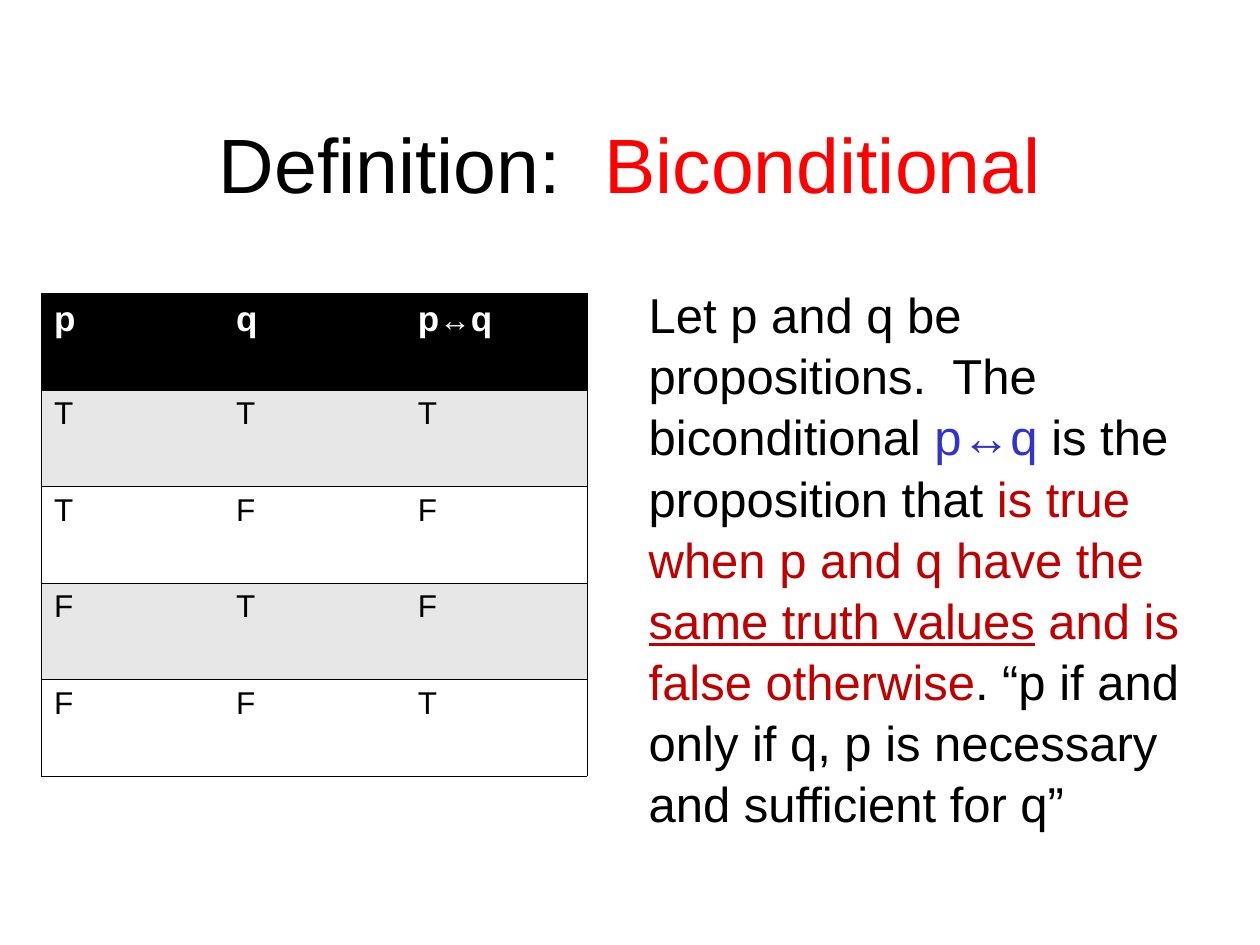
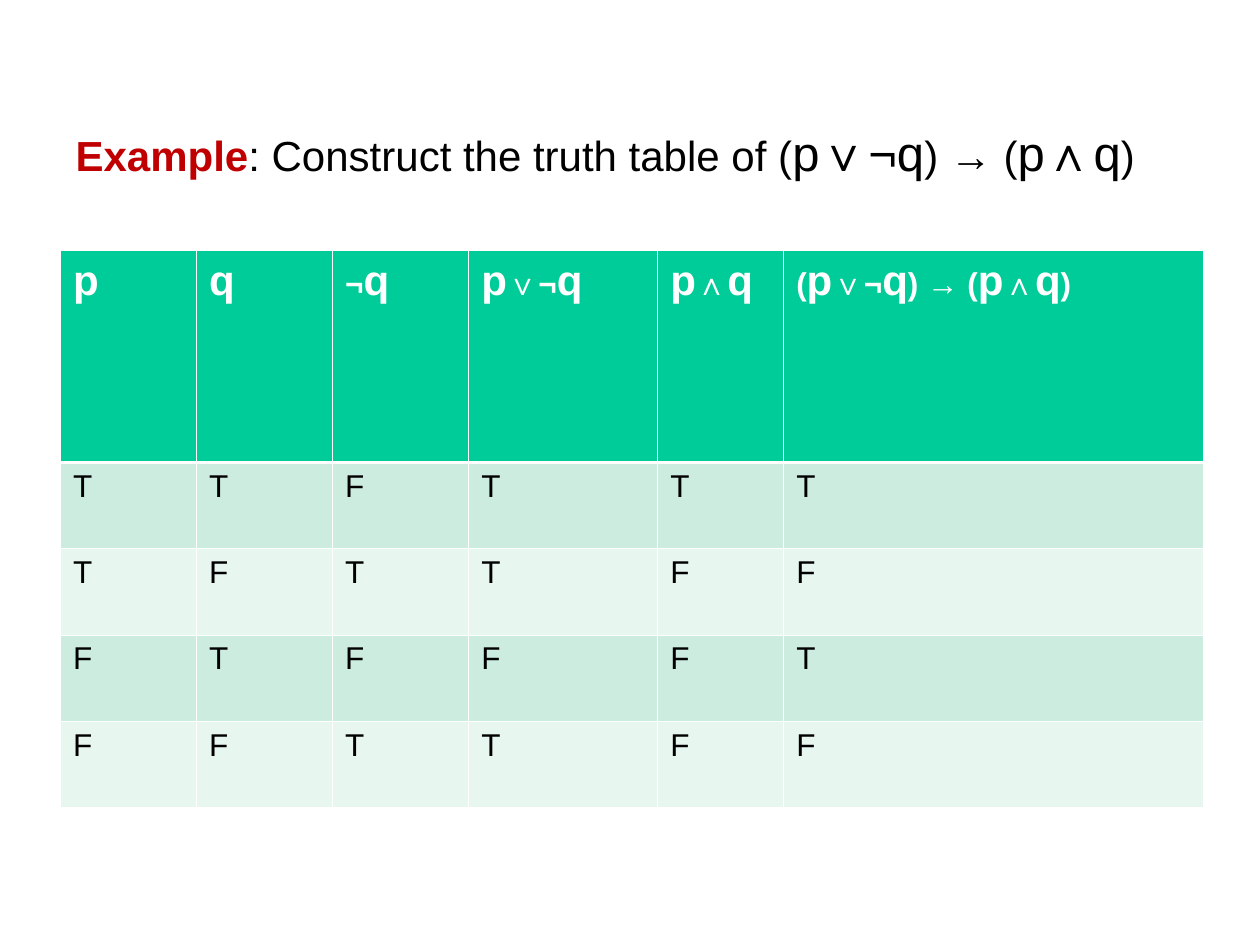
from itertools import groupby

from lxml import etree
from pptx import Presentation
from pptx.dml.color import RGBColor
from pptx.enum import text as t
from pptx.oxml import ns
from pptx.util import Inches, Pt

FONT = "Arial"
BLACK, WHITE = "000000", "FFFFFF"
RED, DARK, BLUE = "FF0000", "C00000", "3333CC"
THIN, THICK = 0.45, 1.47


def rgb(code):
    return RGBColor.from_string(code)


def style(font, size=None, color=None, bold=None, line=None):
    """Set only the given traits of a font."""
    if size:
        font.size = Pt(size)
    if color:
        font.color.rgb = rgb(color)
    if bold is not None:
        font.bold = bold
    if line:
        font.underline = True


def write(par, runs, size, color=BLACK, bold=False):
    """Fill a paragraph from (text, traits) pairs over a base style."""
    par.font.name = FONT
    style(par.font, size, color, bold)
    for words, traits in runs:
        run = par.add_run()
        run.text = words
        style(run.font, **traits)


def place(shape, box):
    shape.left, shape.top, shape.width, shape.height = map(Inches, box)


def title(slide, box, runs, size, align, anchor):
    shape = slide.shapes.title
    place(shape, box)
    frame = shape.text_frame
    frame.word_wrap = True
    frame.auto_size = t.MSO_AUTO_SIZE.NONE
    frame.vertical_anchor = anchor
    par = frame.paragraphs[0]
    par.alignment = align
    write(par, runs, size)


def body(slide, box, runs):
    frame = slide.shapes.add_textbox(*map(Inches, box)).text_frame
    frame.word_wrap = True
    frame.margin_top = Inches(0.07)
    par = frame.paragraphs[0]
    par.line_spacing = 1.04
    par._p.get_or_add_pPr().set("marL", str(Inches(0.38)))
    write(par, runs, 28)


def border(cell, side, color, width):
    """Draw one side (L, R, T or B) of a cell; no colour means no line."""
    props = cell._tc.get_or_add_tcPr()
    line = etree.SubElement(props, ns.qn("a:ln" + side), w=str(Pt(width)))
    if color:
        fill = etree.SubElement(line, ns.qn("a:solidFill"))
        etree.SubElement(fill, ns.qn("a:srgbClr"), val=color)
    else:
        etree.SubElement(line, ns.qn("a:noFill"))


def formula(words, small):
    """Split a formula into runs, with its symbols in the small size."""
    for letter, part in groupby(words, str.isalpha):
        yield "".join(part), {} if letter else {"size": small}


def truth(slide, box, cols, tops, rows, head, fills, size, edge):
    """Truth table; edge(row, col) gives (colour, width) for each side."""
    left, top, width, height = box
    shape = slide.shapes.add_table(len(rows) + 1, len(cols),
                                   *map(Inches, box))
    grid = shape.table
    for col, wide in zip(grid.columns, cols):
        col.width = Inches(wide)
    rest = (height - head) / len(rows)
    for i, row in enumerate([tops, *rows]):
        grid.rows[i].height = Inches(rest if i else head)
        for j, words in enumerate(row):
            cell = grid.cell(i, j)
            for side, (color, thick) in edge(i, j).items():
                border(cell, side, color, thick)
            cell.fill.solid()
            shade = fills[2 - i % 2] if i else fills[0]
            cell.fill.fore_color.rgb = rgb(shade)
            par = cell.text_frame.paragraphs[0]
            if i:
                write(par, [(words, {})], 18)
            else:
                write(par, formula(words, 18), size, WHITE, True)


def frame_edge(row, col):
    """Black rules between rows and round the table, none between columns."""
    rule, none = (BLACK, THIN), (None, THIN)
    return {"L": none if col else rule, "R": rule if col == 2 else none,
            "T": rule, "B": rule}


def grid_edge(row, col):
    """White rules everywhere, thicker under the header."""
    return {"L": (WHITE, THIN), "R": (WHITE, THIN),
            "T": (WHITE, THICK if row == 1 else THIN),
            "B": (WHITE, THICK if row == 0 else THIN)}


def define(slide):
    title(slide, (0.75, 0.67, 8.5, 1.25),
          [("Definition:  ", {}), ("Biconditional", {"color": RED})],
          44, t.PP_ALIGN.CENTER, t.MSO_ANCHOR.MIDDLE)
    body(slide, (4.67, 2.17, 4.92, 4.5), [
        ("Let p and q be propositions.  The biconditional ", {}),
        ("p↔q", {"color": BLUE}),
        (" is the proposition that ", {}),
        ("is true when p and q have the ", {"color": DARK}),
        ("same truth values", {"color": DARK, "line": True}),
        (" and is false otherwise", {"color": DARK}),
        (". “p if and only if q, p is necessary and sufficient for q”", {}),
    ])
    truth(slide, (0.33, 2.33, 4.33, 3.83), [4.33 / 3] * 3,
          ["p", "q", "p↔q"], ["TTT", "TFF", "FTF", "FFT"], 3.83 / 5,
          (BLACK, "E7E7E7", WHITE), 20, frame_edge)


def example(slide):
    big = {"size": 28}
    title(slide, (0.5, 0.92, 9.06, 0.57), [
        ("Example", {"color": DARK, "bold": True}),
        (": Construct the truth table of (", {}),
        ("p∨¬q", big), (") → (", {}), ("p∧q", big), (")", {}),
    ], 24, t.PP_ALIGN.LEFT, t.MSO_ANCHOR.TOP)
    truth(slide, (0.48, 1.99, 9.08, 4.42), [1.08, 1.08, 1.08, 1.5, 1, 3.33],
          ["p", "q", "¬q", "p∨¬q", "p∧q", "(p∨¬q) → (p∧q)"],
          ["TTFTTT", "TFTTFF", "FTFFFT", "FFTTFF"], 1.68,
          ("00CC99", "CBECDE", "E7F6EF"), 24, grid_edge)


def main():
    deck = Presentation()
    deck.slide_width, deck.slide_height = Inches(10), Inches(7.5)
    for build in (define, example):
        build(deck.slides.add_slide(deck.slide_layouts[5]))
    deck.save("out.pptx")


if __name__ == "__main__":
    main()
